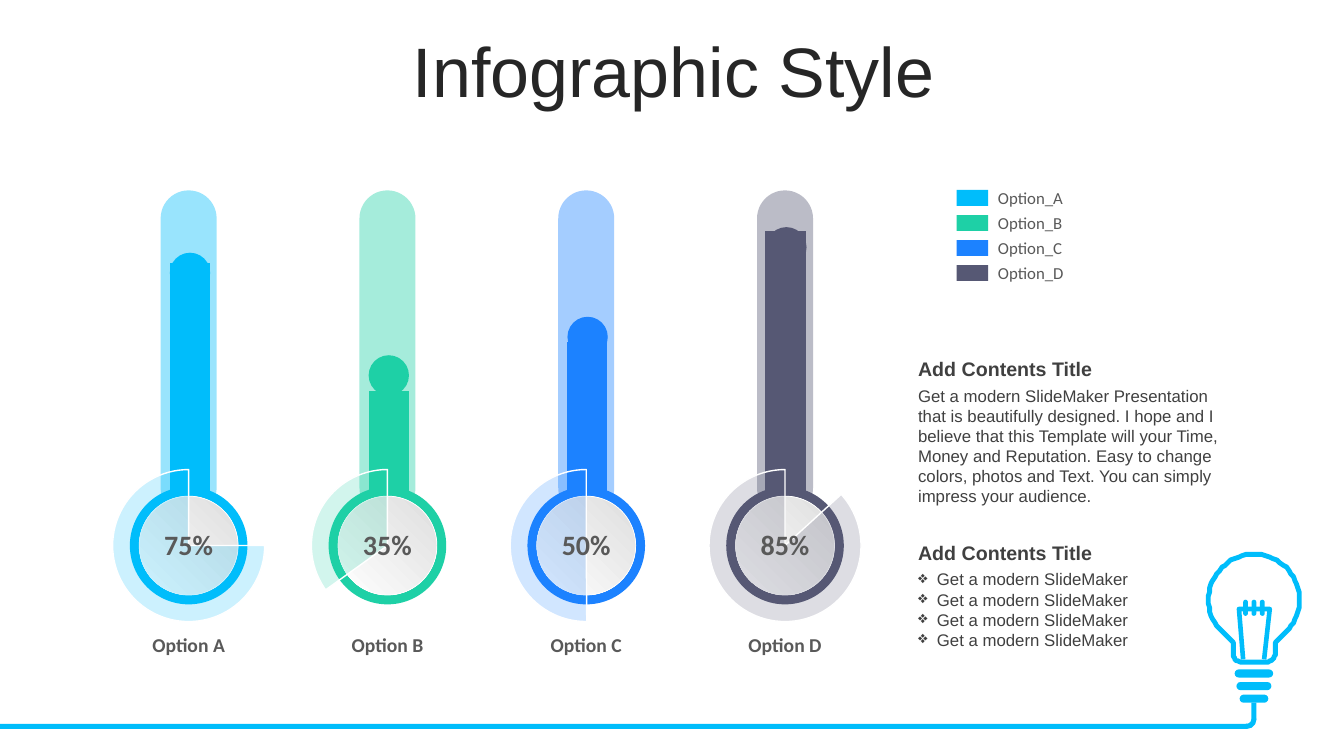
import math

from lxml import etree
from pptx import Presentation
from pptx import util as u
from pptx.chart import data as chart_data
from pptx.dml import color
from pptx.enum import chart as chart_enum, shapes, text
from pptx.oxml import ns

COLORS = {
    "sky": "00BDFB", "green": "1ED0A6", "blue": "1C82FF", "slate": "565874",
    "title": "262626", "body": "404040", "label": "595959",
    "silver": "DEDEDE", "white": "FFFFFF",
}
# letter, percent shown, chart value, colour
OPTIONS = [
    ("A", 75, 88, "sky"), ("B", 35, 41, "green"),
    ("C", 50, 59, "blue"), ("D", 85, 100, "slate"),
]
FIRST_CENTER, PITCH = 134.75, 142
TITLE = {"size": u.Pt(50), "name": "Arial", "bold": False, "color": "title"}
HEADING = {"size": u.Pt(14), "name": "Arial", "bold": True, "color": "body"}
BODY = {"size": u.Pt(12), "name": "Arial", "bold": False, "color": "body"}
PERCENT = {"size": u.Pt(20), "name": "Calibri", "bold": True, "color": "label"}
CAPTION = {"size": u.Pt(14), "name": "Calibri", "bold": True, "color": "label"}
LEGEND = {"size": u.Pt(12), "name": "Calibri", "bold": False, "color": "label"}
SHAPE = shapes.MSO_SHAPE
LEFT, CENTER = text.PP_ALIGN.LEFT, text.PP_ALIGN.CENTER


def rgb(name):
    return color.RGBColor.from_string(COLORS[name])


def points(*lengths):
    return [u.Pt(length) for length in lengths]


def set_font(font, formats):
    for key, value in formats.items():
        if key == "color":
            font.color.rgb = rgb(value)
        else:
            setattr(font, key, value)


def paint(shape, fill=None, line=None, width=1, opacity=100):
    shape.shadow.inherit = False
    if fill:
        shape.fill.solid()
        shape.fill.fore_color.rgb = rgb(fill)
        if opacity < 100:
            solid = shape._element.spPr.find(ns.qn("a:solidFill"))
            etree.SubElement(solid[0], ns.qn("a:alpha"), val=str(opacity * 1000))
    else:
        shape.fill.background()
    if line:
        shape.line.color.rgb = rgb(line)
        shape.line.width = u.Pt(width)
    else:
        shape.line.fill.background()


def add_preset(slide, kind, box, fill, adjustments=(), **style):
    shape = slide.shapes.add_shape(kind, *points(*box))
    for index, value in enumerate(adjustments):
        shape.adjustments[index] = value
    paint(shape, fill, **style)
    return shape


def add_circle(slide, x, y, radius, fill, kind=SHAPE.OVAL, **style):
    box = (x - radius, y - radius, 2 * radius, 2 * radius)
    return add_preset(slide, kind, box, fill, **style)


def add_text(slide, box, lines, formats, align=LEFT, bullet=None):
    frame = slide.shapes.add_textbox(*points(*box)).text_frame
    frame.word_wrap = True
    frame.auto_size = text.MSO_AUTO_SIZE.SHAPE_TO_FIT_TEXT
    for index, line in enumerate(lines):
        paragraph = frame.add_paragraph() if index else frame.paragraphs[0]
        paragraph.alignment = align
        if bullet:
            properties = paragraph._p.get_or_add_pPr()
            properties.set("marL", str(u.Pt(13.5)))
            properties.set("indent", str(u.Pt(-13.5)))
            etree.SubElement(properties, ns.qn("a:buChar"), char=bullet)
        run = paragraph.add_run()
        run.text = line
        set_font(run.font, formats)


def add_outline(slide, corners, closed, **style):
    builder = slide.shapes.build_freeform(*corners[0], scale=u.Pt(1))
    builder.add_line_segments(corners[1:], close=closed)
    paint(builder.convert_to_shape(), **style)


def arc(x, y, radius, start, end, steps):
    angles = [math.radians(start + (end - start) * i / steps) for i in range(steps + 1)]
    return [(x + radius * math.cos(a), y + radius * math.sin(a)) for a in angles]


def add_title(slide, box, words):
    title = slide.shapes.title
    title.left, title.top, title.width, title.height = points(*box)
    frame = title.text_frame
    frame.text = words
    frame.word_wrap = True
    frame.auto_size = text.MSO_AUTO_SIZE.NONE
    frame.vertical_anchor = text.MSO_ANCHOR.MIDDLE
    paragraph = frame.paragraphs[0]
    paragraph.alignment = CENTER
    paragraph.line_spacing = 0.8
    set_font(paragraph.runs[0].font, TITLE)


def add_lightbulb(slide, x, y):
    """Lamp whose glass is centred at x, y, with its cord along the bottom."""
    # Glass
    glass = arc(x, y, 32.5, 135, 405, 54)
    glass += [(x + 15, y + 30.5)] + arc(x + 9, y + 38.5, 6, 0, 90, 8)
    glass += arc(x - 9, y + 38.5, 6, 90, 180, 8) + [(x - 15, y + 30.5)]
    add_outline(slide, glass, True, fill="white", line="sky", width=3.5)
    # Filament
    wire = [(x - 7.5, y + 43), (x - 11, y + 6.3), (x + 11, y + 6.3), (x + 7.5, y + 43)]
    add_outline(slide, wire, False, line="sky", width=3.3)
    for step in (-1, 0, 1):
        tick = (x + step * 6 - 1.7, y, 3.4, 11.5)
        add_preset(slide, SHAPE.ROUNDED_RECTANGLE, tick, "sky", [0.5])
    # Screw base
    for row, width in enumerate((27.5, 25, 20.5)):
        ring = (x - width / 2, y + 49.75 + row * 9, width, 5.8)
        add_preset(slide, SHAPE.ROUNDED_RECTANGLE, ring, "sky", [0.5])
    # Cord
    add_preset(slide, SHAPE.RECTANGLE, (0, y + 88.6, x - 5, 3.7), "sky")
    add_preset(slide, SHAPE.RECTANGLE, (x - 1.9, y + 73.5, 3.7, 12.2), "sky")
    add_preset(slide, SHAPE.BLOCK_ARC, (x - 11.9, y + 78.6, 13.7, 13.7), "sky",
               [213.394, 60.915, 0.271])


def add_level_chart(slide, box):
    data = chart_data.CategoryChartData()
    data.categories = ["1", "2", "3", "4"]
    data.add_series("Series 1", [value for _, _, value, _ in OPTIONS])
    kind = chart_enum.XL_CHART_TYPE.COLUMN_STACKED
    chart = slide.shapes.add_chart(kind, *points(*box), data).chart
    chart.has_legend = chart.has_title = False
    chart.font.size, chart.font.name = u.Pt(18), "Arial"
    for axis in (chart.category_axis, chart.value_axis):
        axis.has_major_gridlines = False
        axis.visible = False
    chart.value_axis.minimum_scale, chart.value_axis.maximum_scale = 0, 100
    plot = chart.plots[0]
    plot.gap_width, plot.overlap, plot.vary_by_categories = 392, 100, False
    series = plot.series[0]
    series.format.fill.solid()
    series.format.fill.fore_color.rgb = rgb("sky")
    for index, option in enumerate(OPTIONS):
        fill = series.points[index].format.fill
        fill.solid()
        fill.fore_color.rgb = rgb(option[3])
    # Fixed plot area keeps the columns inside the tubes
    area = chart._chartSpace.find(".//" + ns.qn("c:plotArea"))
    for old in area.findall(ns.qn("c:layout")):
        area.remove(old)
    layout = etree.Element(ns.qn("c:layout"))
    manual = etree.SubElement(layout, ns.qn("c:manualLayout"))
    settings = {"layoutTarget": "inner", "xMode": "edge", "yMode": "edge",
                "x": 0.02, "y": 0.07, "w": 0.96, "h": 0.91}
    for tag, value in settings.items():
        etree.SubElement(manual, ns.qn("c:" + tag), val=str(value))
    area.insert(0, layout)


def add_gauge(slide, x, y, option):
    """Bulb centred at x, y with its share, level cap and caption."""
    letter, percent, _, fill = option
    add_circle(slide, x, y, 42, fill)
    dial = add_circle(slide, x, y, 35.3, "white", line="white", width=0.5)
    dial.fill.gradient()
    dial.fill.gradient_angle = 225
    for stop, name, position in zip(dial.fill.gradient_stops, ("silver", "white"), (0, 1)):
        stop.color.rgb, stop.position = rgb(name), position
    # The share ends at the top, 270 degrees, in units of 0.6 per degree
    start = {"A": 0, "B": 86.61, "C": 53.76, "D": 190.59}[letter]
    add_circle(slide, x, y, 54.3, fill, SHAPE.PIE, adjustments=[start, 162],
               line="white", opacity=20)
    add_text(slide, (x - 42, y - 16.8, 84, 31.5), [f"{percent}%"], PERCENT, CENTER)
    add_circle(slide, x + 1, y - 57.5 - percent * 1.83, 14.4, fill)
    add_text(slide, (x - 48, y + 58.6, 96, 24.2), [f"Option {letter}"], CAPTION, CENTER)


def add_legend(slide, left, top):
    for row, (letter, _, _, fill) in enumerate(OPTIONS):
        y = top + row * 17.9
        add_preset(slide, SHAPE.RECTANGLE, (left, y, 22.5, 11.3), fill)
        add_text(slide, (left + 22.5, y - 5.3, 80, 21.8), [f"Option_{letter}"], LEGEND)


def add_contents(slide, box, lines, bullet=None):
    left, top, width, height = box
    add_text(slide, (left, top, width, 24.2), ["Add Contents Title"], HEADING)
    add_text(slide, (left, top + 20.5, width, height - 20.5), lines, BODY, bullet=bullet)


def main():
    presentation = Presentation()
    presentation.slide_width, presentation.slide_height = points(960, 540)
    slide = presentation.slides.add_slide(presentation.slide_layouts[5])
    add_lightbulb(slide, 895.7, 428.4)
    add_title(slide, (25.5, 26.5, 911.5, 57), "Infographic Style")
    # Thermometers
    centers = [FIRST_CENTER + index * PITCH for index in range(len(OPTIONS))]
    for x, option in zip(centers, OPTIONS):
        add_preset(slide, SHAPE.ROUNDED_RECTANGLE, (x - 20, 136, 40, 232.5), option[3],
                   [0.5], opacity=40)
    add_level_chart(slide, (53.3, 149.8, 590.4, 213))
    for x, option in zip(centers, OPTIONS):
        add_gauge(slide, x, 389.7, option)
    # Right column
    add_legend(slide, 683.3, 135.7)
    add_contents(slide, (648.7, 251.2, 232.5, 114.5), [
        "Get a modern SlideMaker Presentation that is beautifully designed. I hope and I "
        "believe that this Template will your Time, Money and Reputation. Easy to change "
        "colors, photos and Text. You can simply impress your audience."])
    add_contents(slide, (648.7, 382.5, 232.5, 86), ["Get a modern SlideMaker"] * 4, "❖")
    presentation.save("out.pptx")


if __name__ == "__main__":
    main()
